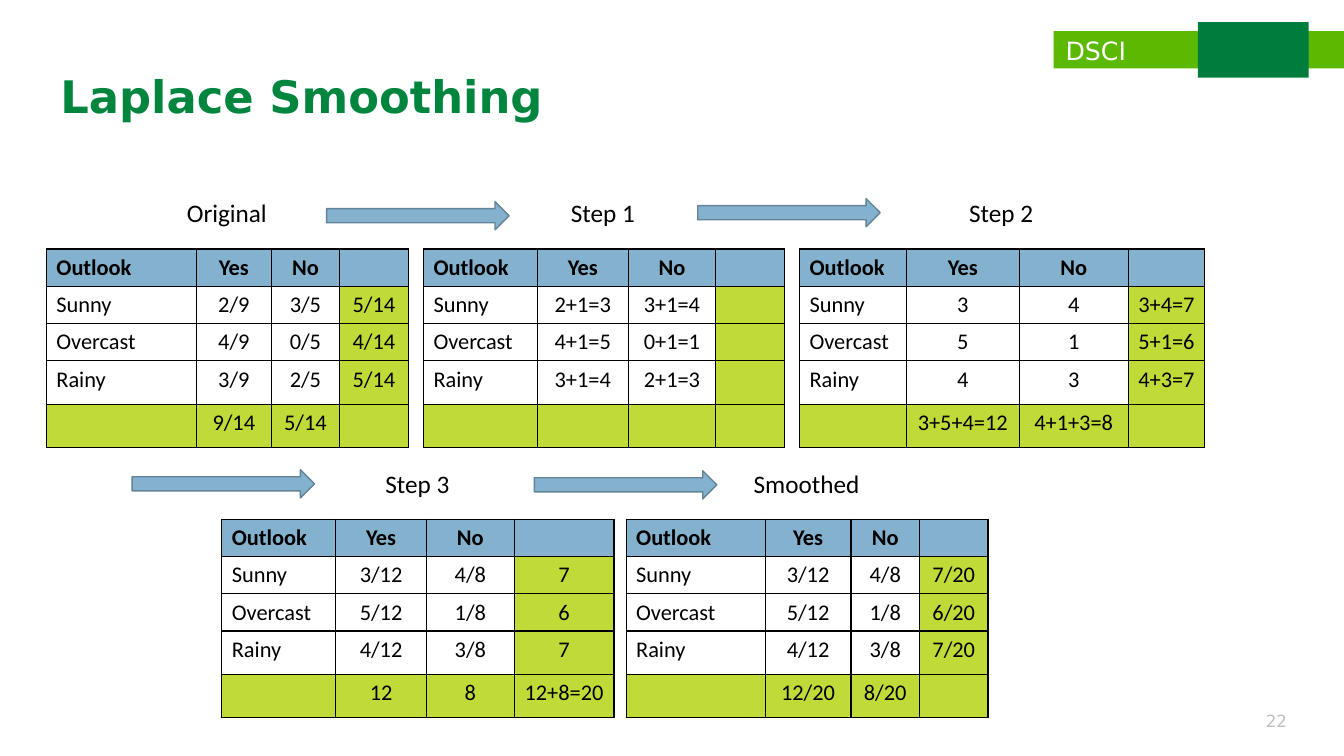
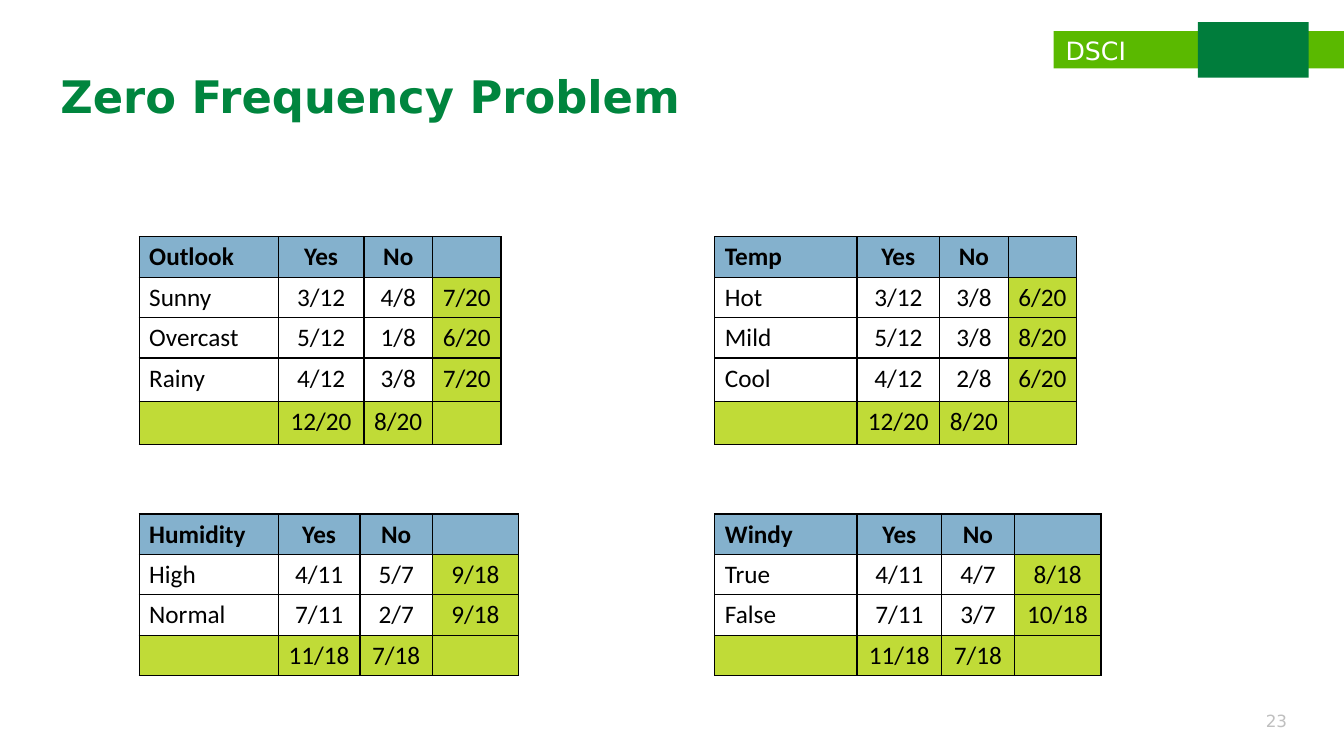
from dataclasses import dataclass
from lxml.etree import SubElement as Sub
from pptx import Presentation as Deck
from pptx.dml.color import RGBColor as Rgb
from pptx.enum.shapes import MSO_SHAPE as Kind
from pptx.enum.text import MSO_ANCHOR as Anchor, PP_ALIGN as Align
from pptx.oxml.ns import qn
from pptx.util import Inches, Pt


@dataclass(frozen=True)
class Theme:
    band: str = "5AB900"
    block: str = "007D3C"
    title: str = "00853E"
    head: str = "84B1CD"
    total: str = "C0DB37"
    edge: str = "628398"
    ink: str = "000000"
    paper: str = "FFFFFF"
    faint: str = "BFBFBF"
    sans: str = "DejaVu Sans"
    body: str = "Calibri"
    big: int = 32
    mid: int = 18
    small: int = 16
    tiny: int = 12


T = Theme()
LABEL = {"name": T.body, "size": T.mid, "color": T.ink}
TITLE = {"name": T.sans, "size": T.big, "color": T.title, "bold": True}
COURSE = {"name": T.sans, "size": T.mid, "color": T.paper}
NUMBER = {"name": T.sans, "size": T.tiny, "color": T.faint}


def write(par, text, style, align=Align.LEFT):
    par.alignment = align
    run = par.add_run()
    run.text = text
    for key, val in style.items():
        if key == "color":
            run.font.color.rgb = Rgb.from_string(val)
        else:
            setattr(run.font, key, Pt(val) if key == "size" else val)


def shape(page, kind, box, fill, line=None):
    item = page.shapes.add_shape(kind, *map(Inches, box))
    item.shadow.inherit = False
    item.fill.solid()
    item.fill.fore_color.rgb = Rgb.from_string(fill)
    if line:
        item.line.color.rgb = Rgb.from_string(line)
        item.line.width = Pt(1)
    else:
        item.line.fill.background()


ROW_1, ROW_2 = 2.47, 5.15
SMOOTH = ["Outlook|Yes|No|", "Sunny|3/12|4/8|7/20", "Overcast|5/12|1/8|6/20",
          "Rainy|4/12|3/8|7/20", "|12/20|8/20|"]
PAGES = [
    {
        "title": "Laplace Smoothing", "number": "22", "size": T.small, "row": 0.37,
        "tables": [
            (0.46, ROW_1, [1.49, 0.74, 0.68, 0.68],
             ["Outlook|Yes|No|", "Sunny|2/9|3/5|5/14", "Overcast|4/9|0/5|4/14",
              "Rainy|3/9|2/5|5/14", "|9/14|5/14|"]),
            (4.2, ROW_1, [1.13, 0.9, 0.87, 0.68],
             ["Outlook|Yes|No|", "Sunny|2+1=3|3+1=4|", "Overcast|4+1=5|0+1=1|",
              "Rainy|3+1=4|2+1=3|", "|||"]),
            (7.93, ROW_1, [1.06, 1.12, 1.08, 0.76],
             ["Outlook|Yes|No|", "Sunny|3|4|3+4=7", "Overcast|5|1|5+1=6",
              "Rainy|4|3|4+3=7", "|3+5+4=12|4+1+3=8|"]),
            (2.2, ROW_2, [1.13, 0.9, 0.87, 0.99],
             ["Outlook|Yes|No|", "Sunny|3/12|4/8|7", "Overcast|5/12|1/8|6",
              "Rainy|4/12|3/8|7", "|12|8|12+8=20"]),
            (6.21, ROW_2, [1.38, 0.85, 0.68, 0.68], SMOOTH),
        ],
        "labels": [("Original", 1.21, 1.91), ("Step 1", 4.94, 1.91),
                   ("Step 2", 8.89, 1.91), ("Step 3", 3.1, 4.6),
                   ("Smoothed", 6.96, 4.6)],
        "arrows": [(3.24, 2), (6.92, 1.97), (1.31, 4.66), (5.3, 4.67)],
    },
    {
        "title": "Zero Frequency Problem", "number": "23", "size": T.mid, "row": 0.4,
        "tables": [
            (1.38, 2.35, [1.38, 0.85, 0.68, 0.68], SMOOTH),
            (7.09, 2.35, [1.41, 0.82, 0.68, 0.68],
             ["Temp|Yes|No|", "Hot|3/12|3/8|6/20", "Mild|5/12|3/8|8/20",
              "Cool|4/12|2/8|6/20", "|12/20|8/20|"]),
            (1.38, 5.1, [1.38, 0.81, 0.72, 0.85],
             ["Humidity|Yes|No|", "High|4/11|5/7|9/18", "Normal|7/11|2/7|9/18",
              "|11/18|7/18|"]),
            (7.09, 5.1, [1.41, 0.84, 0.72, 0.86],
             ["Windy|Yes|No|", "True|4/11|4/7|8/18", "False|7/11|3/7|10/18",
              "|11/18|7/18|"]),
        ],
        "labels": [], "arrows": [],
    },
]

deck = Deck()
deck.slide_width, deck.slide_height = Inches(13.33), Inches(7.5)

for plan in PAGES:
    page = deck.slides.add_slide(deck.slide_layouts[6])
    shape(page, Kind.RECTANGLE, (10.45, 0.31, 2.88, 0.37), T.band)
    shape(page, Kind.RECTANGLE, (11.88, 0.22, 1.1, 0.55), T.block)

    texts = [
        ("DSCI", (10.47, 0.3, 1.37, 0.4), COURSE, Align.LEFT, Anchor.TOP),
        (plan["title"], (0.5, 0.4, 11.4, 1.16), TITLE, Align.LEFT, Anchor.MIDDLE),
        (plan["number"], (12.4, 6.95, 0.52, 0.4), NUMBER, Align.CENTER, Anchor.MIDDLE),
    ]
    texts += [(name, (x, y, 2.08, 0.4), LABEL, Align.CENTER, Anchor.TOP)
              for name, x, y in plan["labels"]]
    for text, box, style, align, anchor in texts:
        frame = page.shapes.add_textbox(*map(Inches, box)).text_frame
        frame.word_wrap = True
        frame.vertical_anchor = anchor
        write(frame.paragraphs[0], text, style, align)
        if style is TITLE:
            frame.paragraphs[0].line_spacing = 0.9

    for x, y, cols, lines in plan["tables"]:
        last = len(lines) - 1
        highs = [0.43 if last == 4 and r > 2 else plan["row"] for r in range(last + 1)]
        box = (x, y, sum(cols), sum(highs))
        grid = page.shapes.add_table(len(lines), len(cols), *map(Inches, box)).table
        grid.horz_banding = False
        for col, wide in zip(grid.columns, cols):
            col.width = Inches(wide)
        for r, line in enumerate(lines):
            grid.rows[r].height = Inches(highs[r])
            for c, text in enumerate(line.split("|")):
                cell = grid.cell(r, c)
                props = cell._tc.get_or_add_tcPr()
                for side in ("lnL", "lnR", "lnT", "lnB"):
                    rule = Sub(props, qn(f"a:{side}"), w=str(Pt(1)))
                    Sub(Sub(rule, qn("a:solidFill")), qn("a:srgbClr"), val=T.ink)
                cell.fill.solid()
                fill = T.head if r == 0 else T.total if r == last or c == 3 else T.paper
                cell.fill.fore_color.rgb = Rgb.from_string(fill)
                par = cell.text_frame.paragraphs[0]
                if text:
                    style = {**LABEL, "size": plan["size"], "bold": r == 0}
                    write(par, text, style, Align.CENTER if c else Align.LEFT)
                else:
                    Sub(par._p, qn("a:endParaRPr"), sz=str(plan["size"] * 100))

    for x, y in plan["arrows"]:
        shape(page, Kind.RIGHT_ARROW, (x, y, 1.81, 0.28), T.head, T.edge)

deck.save("out.pptx")
